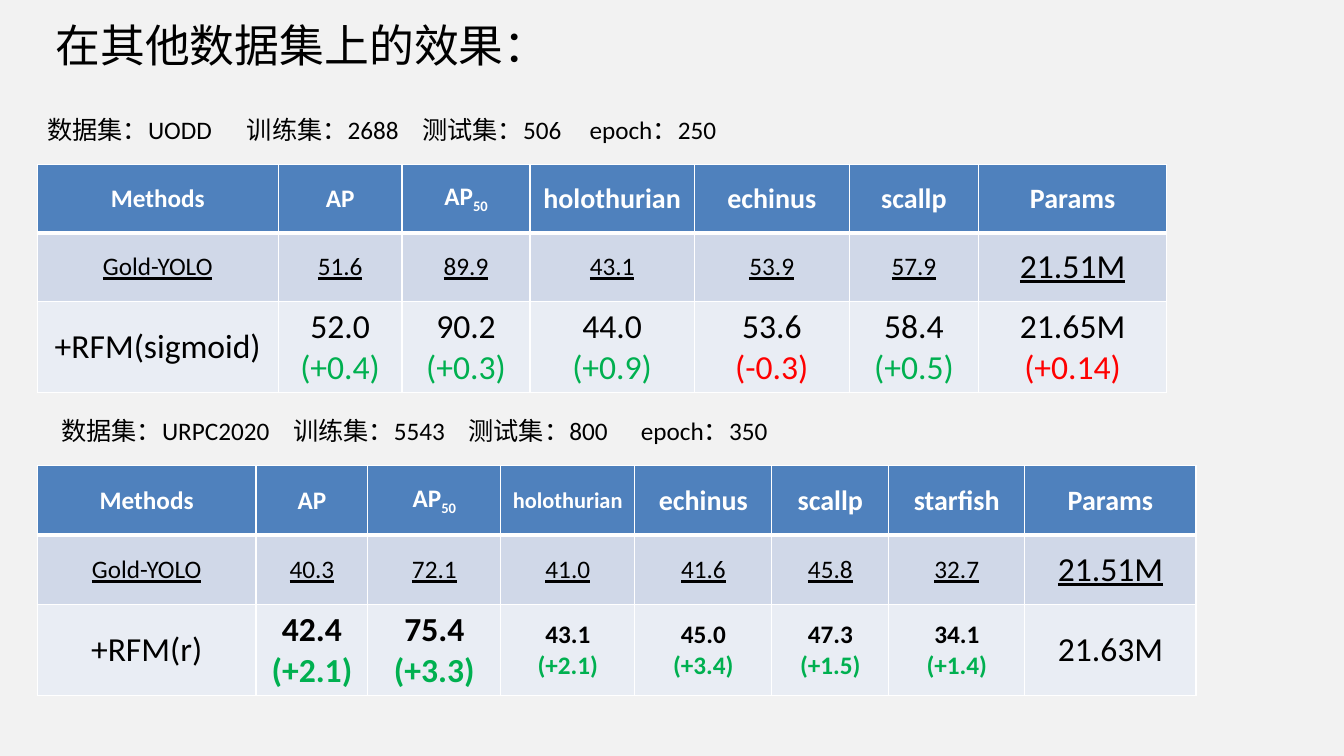
from dataclasses import dataclass

import lxml.etree
import pptx
import pptx.dml.color
import pptx.enum.text
import pptx.oxml.ns
import pptx.slide
import pptx.table
import pptx.text.text
import pptx.util

RGB = pptx.dml.color.RGBColor
ALIGN = pptx.enum.text.PP_ALIGN
ANCHOR = pptx.enum.text.MSO_ANCHOR
FIT = pptx.enum.text.MSO_AUTO_SIZE
Pt = pptx.util.Pt
qn = pptx.oxml.ns.qn

BLACK = RGB(0x00, 0x00, 0x00)
WHITE = RGB(0xFF, 0xFF, 0xFF)
GRAY = RGB(0xF2, 0xF2, 0xF2)
BLUE = RGB(0x4F, 0x81, 0xBD)
MIST = RGB(0xD0, 0xD8, 0xE8)
PALE = RGB(0xE9, 0xED, 0xF4)
GREEN = RGB(0x00, 0xB0, 0x50)
RED = RGB(0xFF, 0x00, 0x00)
FILLS = (BLUE, MIST, PALE)

FONT = "Calibri"
WIDE = pptx.util.Inches(13.33)
HIGH = pptx.util.Inches(7.5)


@dataclass(frozen=True)
class Entry:
    text: str
    size: int = 18
    sub: str = ""
    gain: str = ""
    tint: RGB = GREEN
    bold: bool = False


@dataclass(frozen=True)
class Label:
    facts: tuple[str, ...]
    left: float
    top: float
    tabs: tuple[float, ...]


@dataclass(frozen=True)
class Board:
    label: Label
    top: float
    cols: tuple[float, ...]
    rows: tuple[float, ...]
    cells: tuple[tuple[Entry, ...], ...]


def across(share: float) -> int:
    return round(WIDE * share / 100)


def down(share: float) -> int:
    return round(HIGH * share / 100)


def write(para: pptx.text.text._Paragraph, text: str, *, size: int = 18,
          color: RGB = BLACK, bold: bool = False, line: bool = False,
          low: bool = False) -> None:
    run = para.add_run()
    run.text = text
    font = run.font
    font.name, font.size, font.bold, font.underline = FONT, Pt(size), bold, line
    font.color.rgb = color
    if low:
        run._r.get_or_add_rPr().set("baseline", "-25000")


def border(cell: pptx.table._Cell, row: int) -> None:
    props = cell._tc.get_or_add_tcPr()
    for side in "LRTB":
        thick = (row, side) in ((0, "B"), (1, "T"))
        edge = lxml.etree.SubElement(props, qn(f"a:ln{side}"), w=str(int(Pt(3 if thick else 1))))
        fill = lxml.etree.SubElement(edge, qn("a:solidFill"))
        lxml.etree.SubElement(fill, qn("a:srgbClr"), val=str(WHITE))


def fill_cell(cell: pptx.table._Cell, entry: Entry, row: int) -> None:
    border(cell, row)
    cell.fill.solid()
    cell.fill.fore_color.rgb = FILLS[row]
    cell.vertical_anchor = ANCHOR.MIDDLE
    color = WHITE if row == 0 else BLACK
    bold = row == 0 or entry.bold
    para = cell.text_frame.paragraphs[0]
    para.alignment = ALIGN.CENTER
    write(para, entry.text, size=entry.size, color=color, bold=bold, line=row == 1)
    if entry.sub:
        write(para, entry.sub, size=entry.size, color=color, bold=bold, low=True)
    if entry.gain:
        para = cell.text_frame.add_paragraph()
        para.alignment = ALIGN.CENTER
        write(para, f"({entry.gain})", size=entry.size, color=entry.tint, bold=bold)


def draw_label(slide: pptx.slide.Slide, label: Label) -> None:
    box = slide.shapes.add_textbox(across(label.left), down(label.top), across(59.92), down(5.33))
    box.text_frame.word_wrap = True
    box.text_frame.auto_size = FIT.SHAPE_TO_FIT_TEXT
    para = box.text_frame.paragraphs[0]
    stops = lxml.etree.SubElement(para._p.get_or_add_pPr(), qn("a:tabLst"))
    for stop in label.tabs:
        lxml.etree.SubElement(stops, qn("a:tab"), pos=str(across(stop)), algn="l")
    write(para, "\t".join(label.facts))


def draw_board(slide: pptx.slide.Slide, board: Board) -> None:
    draw_label(slide, board.label)
    frame = slide.shapes.add_table(
        len(board.rows), len(board.cols), across(2.78), down(board.top),
        across(sum(board.cols)), down(sum(board.rows)))
    table = frame.table
    for col, share in zip(table.columns, board.cols):
        col.width = across(share)
    for row, share in zip(table.rows, board.rows):
        row.height = down(share)
    for i, line in enumerate(board.cells):
        for j, entry in enumerate(line):
            fill_cell(table.cell(i, j), entry, i)


def draw_title(slide: pptx.slide.Slide, text: str) -> None:
    title = slide.shapes.title
    title.left, title.top = across(3.38), down(1.73)
    title.width, title.height = across(53.18), down(8.53)
    frame = title.text_frame
    frame.word_wrap = True
    frame.auto_size = FIT.SHAPE_TO_FIT_TEXT
    frame.vertical_anchor = ANCHOR.TOP
    frame.paragraphs[0].alignment = ALIGN.LEFT
    write(frame.paragraphs[0], text, size=32)


HEAD = (Entry("Methods"), Entry("AP"), Entry("AP", sub="50"))

BOARDS = (
    Board(
        Label(("数据集：UODD", "训练集：2688", "测试集：506", "epoch：250"),
              2.78, 14.4, (14.85, 27.9, 40.35)),
        21.73,
        (17.92, 9.22, 9.52, 12.22, 11.55, 9.6, 14.02),
        (9.07, 9.07, 12),
        (
            HEAD + tuple(Entry(name, 20) for name in
                         ("holothurian", "echinus", "scallp", "Params")),
            tuple(Entry(text) for text in
                  ("Gold-YOLO", "51.6", "89.9", "43.1", "53.9", "57.9"))
            + (Entry("21.51M", 24),),
            (
                Entry("+RFM(sigmoid)", 24),
                Entry("52.0", 24, gain="+0.4"),
                Entry("90.2", 24, gain="+0.3"),
                Entry("44.0", 24, gain="+0.9"),
                Entry("53.6", 24, gain="-0.3", tint=RED),
                Entry("58.4", 24, gain="+0.5"),
                Entry("21.65M", 24, gain="+0.14", tint=RED),
            ),
        ),
    ),
    Board(
        Label(("数据集：URPC2020", "训练集：5543", "测试集：800", "epoch：350"),
              3.82, 54.27, (17.25, 30.3, 43.13)),
        61.6,
        (16.27, 8.32, 9.9, 9.97, 10.2, 8.7, 10.12, 12.75),
        (9.2, 9.2, 12),
        (
            HEAD + (Entry("holothurian", 16),)
            + tuple(Entry(name, 20) for name in ("echinus", "scallp", "starfish", "Params")),
            tuple(Entry(text) for text in
                  ("Gold-YOLO", "40.3", "72.1", "41.0", "41.6", "45.8", "32.7"))
            + (Entry("21.51M", 24),),
            (
                Entry("+RFM(r)", 24),
                Entry("42.4", 24, gain="+2.1", bold=True),
                Entry("75.4", 24, gain="+3.3", bold=True),
                Entry("43.1", gain="+2.1", bold=True),
                Entry("45.0", gain="+3.4", bold=True),
                Entry("47.3", gain="+1.5", bold=True),
                Entry("34.1", gain="+1.4", bold=True),
                Entry("21.63M", 24),
            ),
        ),
    ),
)


def main() -> None:
    deck = pptx.Presentation()
    deck.slide_width, deck.slide_height = WIDE, HIGH
    slide = deck.slides.add_slide(deck.slide_layouts[5])
    slide.background.fill.solid()
    slide.background.fill.fore_color.rgb = GRAY
    draw_title(slide, "在其他数据集上的效果：")
    for board in BOARDS:
        draw_board(slide, board)
    deck.save("out.pptx")


if __name__ == "__main__":
    main()
